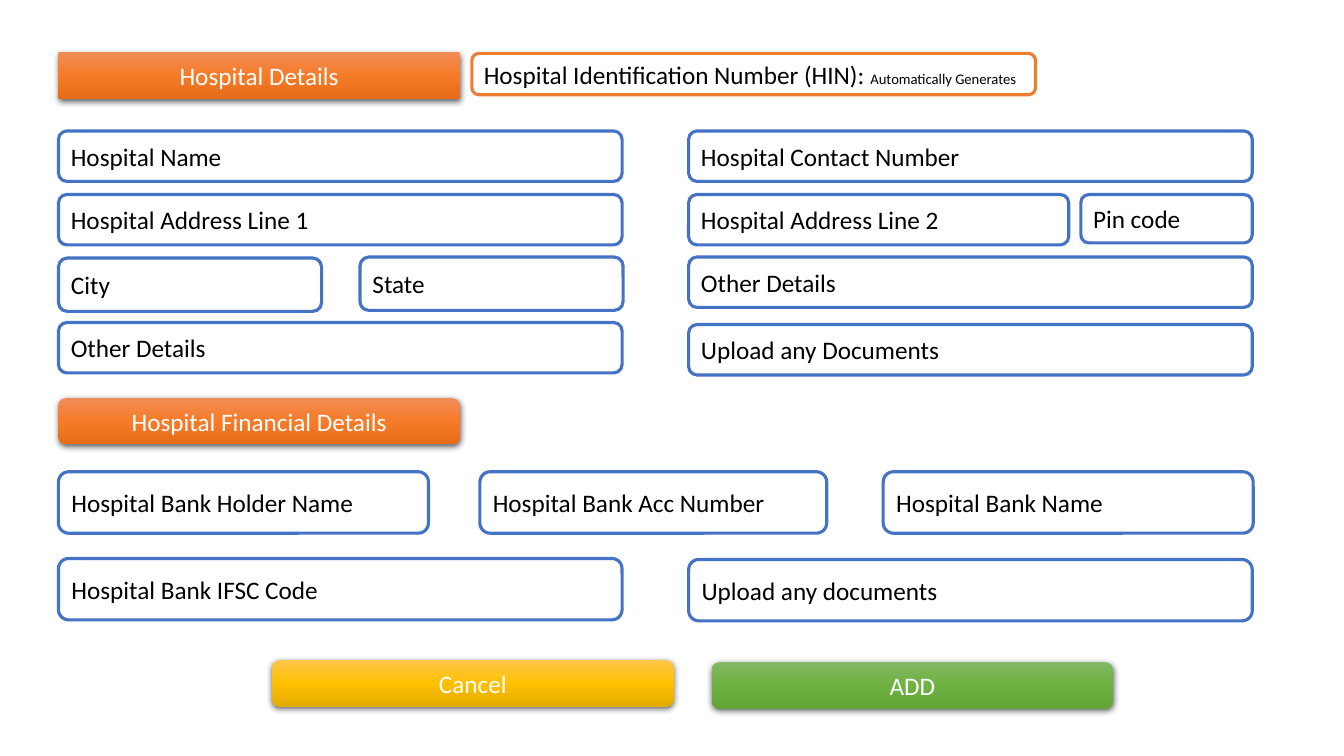
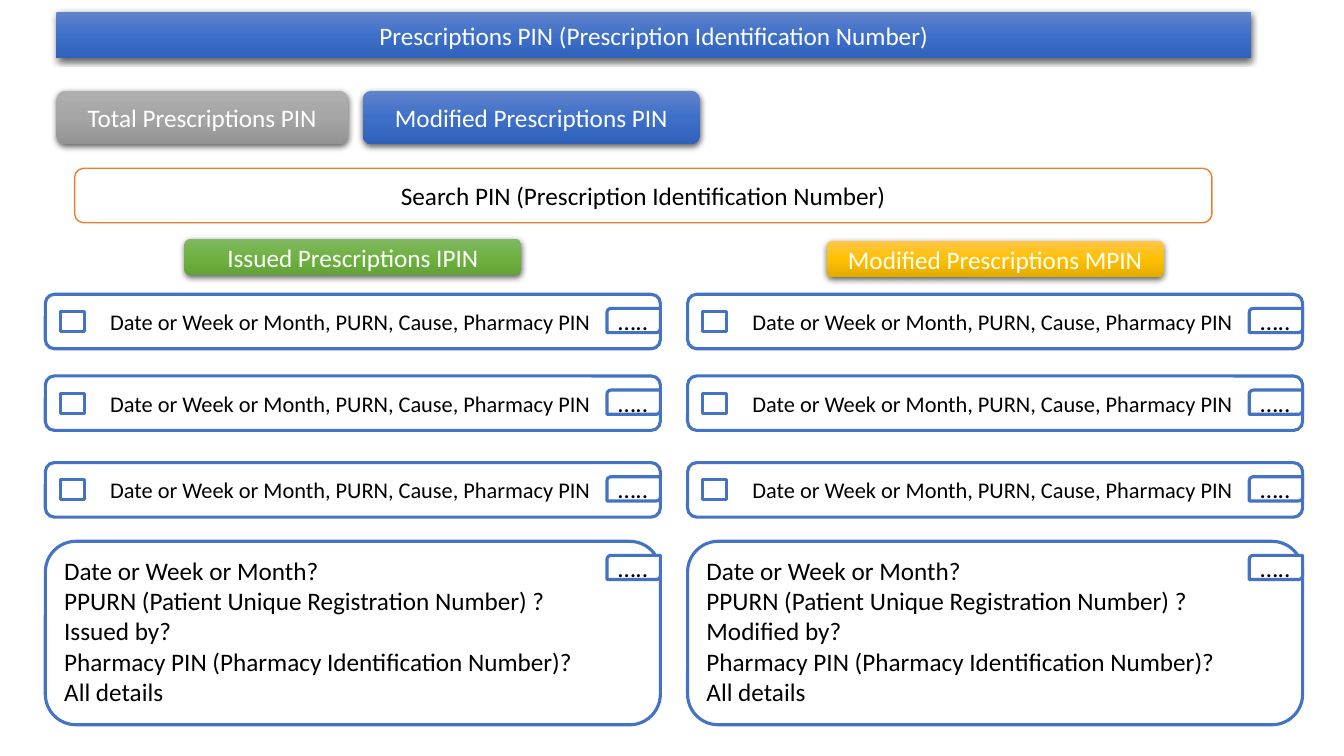
from copy import deepcopy
from dataclasses import dataclass

from lxml import etree
from pptx import Presentation
from pptx.dml.color import RGBColor
from pptx.enum import shapes, text
from pptx.oxml import ns
from pptx.util import Inches, Pt


@dataclass(frozen=True)
class Theme:
    font: str = "Calibri"
    body_size: float = 18
    row_size: float = 16
    note_size: float = 10.5
    border: float = 2.25
    thin_border: float = 1
    white: str = "FFFFFF"
    black: str = "000000"
    blue: str = "4472C4"
    orange: str = "ED7D31"
    orange_gradient: tuple = ("F18C57", "F67B28", "E56C19")
    blue_gradient: tuple = ("6183CB", "3E70CA", "3062BB")
    gray_gradient: tuple = ("AFAFAF", "A5A5A5", "939393")
    gold_gradient: tuple = ("FFC64B", "FFC000", "E3AB00")
    green_gradient: tuple = ("81B861", "6FB242", "62A336")


THEME = Theme()
ROUND = shapes.MSO_SHAPE.ROUNDED_RECTANGLE
TAB = shapes.MSO_SHAPE.ROUND_2_DIAG_RECTANGLE
CENTER = text.PP_ALIGN.CENTER
LEFT = text.PP_ALIGN.LEFT
MIDDLE = text.MSO_ANCHOR.MIDDLE
TOP = text.MSO_ANCHOR.TOP


def add_run(paragraph, words, size, color):
    run = paragraph.add_run()
    run.text = words
    run.font.name = THEME.font
    run.font.size = Pt(size)
    run.font.color.rgb = RGBColor.from_string(color)


def write(shape, lines, size, color, align, anchor=MIDDLE):
    frame = shape.text_frame
    frame.word_wrap = True
    frame.auto_size = text.MSO_AUTO_SIZE.NONE
    frame.vertical_anchor = anchor
    for index, line in enumerate(lines):
        paragraph = frame.add_paragraph() if index else frame.paragraphs[0]
        paragraph.alignment = align
        add_run(paragraph, line, size, color)


def add_field(slide, box, *lines, kind=ROUND, line=THEME.blue, width=THEME.border,
              size=THEME.body_size, align=LEFT, anchor=MIDDLE):
    """White outlined box, with one paragraph per line of text."""
    shape = slide.shapes.add_shape(kind, *map(Inches, box))
    shape.shadow.inherit = False
    shape.fill.solid()
    shape.fill.fore_color.rgb = RGBColor.from_string(THEME.white)
    shape.line.color.rgb = RGBColor.from_string(line)
    shape.line.width = Pt(width)
    write(shape, lines, size, THEME.black, align, anchor)
    return shape


def fill_gradient(shape, colors):
    shape.fill.gradient()
    shape.fill.gradient_angle = 270
    stops = shape._element.spPr.find(".//" + ns.qn("a:gsLst"))
    stops.append(deepcopy(stops[-1]))
    for index, (stop, color) in enumerate(zip(shape.fill.gradient_stops, colors)):
        stop.position = index / (len(colors) - 1)
        stop.color.rgb = RGBColor.from_string(color)


def drop_shadow(shape):
    shape.shadow.inherit = False
    effects = shape._element.spPr.find(ns.qn("a:effectLst"))
    shadow = etree.SubElement(
        effects, ns.qn("a:outerShdw"), blurRad=str(Pt(4.5)), dist=str(Pt(1.5)),
        dir="5400000", algn="ctr", rotWithShape="0")
    color = etree.SubElement(shadow, ns.qn("a:srgbClr"), val=THEME.black)
    etree.SubElement(color, ns.qn("a:alpha"), val="63000")


def style_button(shape, words, colors):
    fill_gradient(shape, colors)
    shape.line.fill.background()
    drop_shadow(shape)
    write(shape, [words], THEME.body_size, THEME.white, CENTER)


def add_button(slide, box, words, colors):
    style_button(slide.shapes.add_shape(ROUND, *map(Inches, box)), words, colors)


def add_titled_slide(presentation, box, words, colors):
    """Slide whose title placeholder is a rounded button."""
    slide = presentation.slides.add_slide(presentation.slide_layouts[5])
    title = slide.shapes.title
    title.left, title.top, title.width, title.height = map(Inches, box)
    geometry = etree.Element(ns.qn("a:prstGeom"), prst="roundRect")
    etree.SubElement(geometry, ns.qn("a:avLst"))
    title._element.spPr.insert(1, geometry)
    style_button(title, words, colors)
    return slide


def add_hospital_form(presentation):
    left, right, full = 0.58, 6.83, 5.59
    button_width, button_height = 3.98, 0.46
    row, bank_row = 0.5, 0.61
    slide = add_titled_slide(presentation, (left, 0.52, button_width, button_height),
                             "Hospital Details", THEME.orange_gradient)
    number = add_field(slide, (4.68, 0.53, full, 0.41),
                       "Hospital Identification Number (HIN): ", line=THEME.orange)
    add_run(number.text_frame.paragraphs[0], "Automatically Generates",
            THEME.note_size, THEME.black)

    fields = [
        (left, 1.3, full, row, "Hospital Name"),
        (right, 1.3, full, row, "Hospital Contact Number"),
        (left, 1.93, full, row, "Hospital Address Line 1"),
        (right, 1.93, 3.77, row, "Hospital Address Line 2"),
        (10.72, 1.93, 1.7, 0.48, "Pin code"),
        (left, 2.56, 2.61, 0.53, "City"),
        (3.57, 2.55, 2.61, 0.53, "State"),
        (right, 2.55, full, row, "Other Details"),
        (left, 3.2, full, row, "Other Details"),
        (right, 3.22, full, row, "Upload any Documents"),
        (left, 4.68, 3.67, bank_row, "Hospital Bank Holder Name"),
        (4.76, 4.68, 3.44, bank_row, "Hospital Bank Acc Number"),
        (8.76, 4.68, 3.67, bank_row, "Hospital Bank Name"),
        (left, 5.54, full, bank_row, "Hospital Bank IFSC Code"),
        (right, 5.55, full, bank_row, "Upload any documents"),
    ]
    for *box, label in fields:
        add_field(slide, box, label)

    buttons = [
        (left, 3.95, "Hospital Financial Details", THEME.orange_gradient),
        (2.7, 6.55, "Cancel", THEME.gold_gradient),
        (7.06, 6.57, "ADD", THEME.green_gradient),
    ]
    for x, y, label, colors in buttons:
        add_button(slide, (x, y, button_width, button_height), label, colors)


def add_more_tab(slide, column, top):
    add_field(slide, (column + 5.57, top + 0.14, 0.53, 0.24), "…..", kind=TAB)


def add_prescription_column(slide, column, author):
    width = 6.1
    for top in (2.92, 3.73, 4.59):
        add_field(slide, (column, top, width, 0.54),
                  "Date or Week or Month, PURN, Cause, Pharmacy PIN ",
                  size=THEME.row_size, align=CENTER)
        add_more_tab(slide, column, top)
        add_field(slide, (column + 0.15, top + 0.17, 0.24, 0.2),
                  kind=shapes.MSO_SHAPE.RECTANGLE)
    details_top = 5.37
    add_field(slide, (column, details_top, width, 1.82),
              "Date or Week or Month?",
              "PPURN (Patient Unique Registration Number) ?",
              author,
              "Pharmacy PIN (Pharmacy Identification Number)?",
              "All details", anchor=TOP)
    add_more_tab(slide, column, details_top)


def add_prescription_list(presentation):
    left = 0.56
    slide = add_titled_slide(presentation, (left, 0.12, 11.85, 0.46),
                             "Prescriptions PIN (Prescription Identification Number)",
                             THEME.blue_gradient)
    buttons = [
        (left, 0.9, 2.89, 0.53, "Total Prescriptions PIN", THEME.gray_gradient),
        (3.6, 0.9, 3.34, 0.53, "Modified Prescriptions PIN", THEME.blue_gradient),
        (1.83, 2.37, 3.34, 0.36, "Issued Prescriptions IPIN", THEME.green_gradient),
        (8.2, 2.39, 3.34, 0.36, "Modified Prescriptions MPIN", THEME.gold_gradient),
    ]
    for *box, label, colors in buttons:
        add_button(slide, box, label, colors)
    add_field(slide, (0.74, 1.67, 11.28, 0.54),
              "Search PIN (Prescription Identification Number)",
              line=THEME.orange, width=THEME.thin_border, align=CENTER)
    add_prescription_column(slide, 0.45, "Issued by?")
    add_prescription_column(slide, 6.82, "Modified by?")


def main():
    presentation = Presentation()
    presentation.slide_width = Inches(13.33)
    presentation.slide_height = Inches(7.5)
    add_hospital_form(presentation)
    add_prescription_list(presentation)
    presentation.save("out.pptx")


if __name__ == "__main__":
    main()
